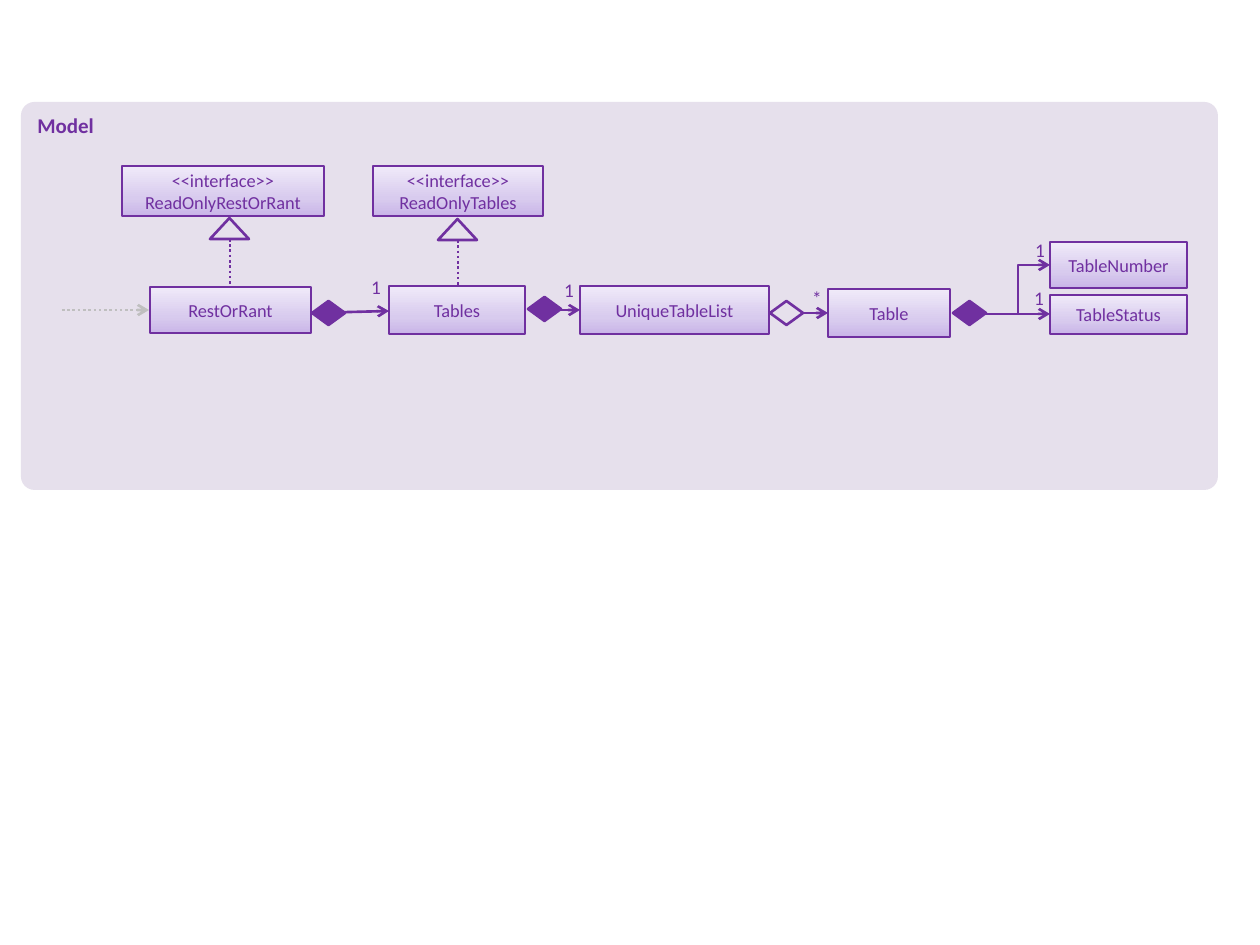
from copy import deepcopy

from pptx import Presentation
from pptx import util as u
from pptx.dml.color import RGBColor
from pptx.enum import dml, shapes, text
from pptx.oxml.ns import qn
from pptx.oxml.xmlchemy import OxmlElement

PX = u.Inches(1) / 126
COLORS = {"purple": "7030A0", "panel": "E6E0EC", "grey": "BFBFBF"}
GRADIENT = {0: "C9B5E8", 0.35: "D8CBEE", 1: "F0EAF9"}
FONT = "Calibri"
SHAPE = shapes.MSO_SHAPE
LINE = shapes.MSO_CONNECTOR

CLASSES = [
    (["RestOrRant"], 150, 287, 161, 46),
    (["Tables"], 389, 286, 136, 48),
    (["UniqueTableList"], 580, 286, 189, 48),
    (["Table"], 828, 289, 122, 48),
    (["TableNumber"], 1050, 242, 137, 46),
    (["TableStatus"], 1050, 295, 137, 39),
    (["<<interface>>", "ReadOnlyRestOrRant"], 122, 166, 202, 50),
    (["<<interface>>", "ReadOnlyTables"], 373, 166, 170, 50),
]
DIAMONDS = [
    (312, 301, "purple"),
    (528, 297, "purple"),
    (770, 301, None),
    (953, 301, "purple"),
]
ASSOCIATIONS = [
    (LINE.STRAIGHT, 312, 313, 389, 311),
    (LINE.STRAIGHT, 528, 310, 580, 310),
    (LINE.STRAIGHT, 803, 313, 828, 313),
    (LINE.STRAIGHT, 986, 314, 1050, 314),
    (LINE.ELBOW, 986, 314, 1050, 265),
]
REALIZATIONS = [(230, 218, 287), (458, 219, 286)]
MULTIPLICITIES = [
    ("1", 363, 275),
    ("1", 556, 278),
    ("*", 804, 286),
    ("1", 1027, 238),
    ("1", 1026, 286),
]


def px(*values):
    return [u.Emu(round(value * PX)) for value in values]


def rgb(name):
    return RGBColor.from_string(COLORS[name])


def write(frame, lines, size, align=text.PP_ALIGN.CENTER, bold=False):
    frame.word_wrap = True
    para = frame.paragraphs[0]
    para.alignment = align
    for index, line in enumerate(lines):
        if index:
            para.add_line_break()
        span = para.add_run()
        span.text = line
        span.font.name = FONT
        span.font.size = u.Pt(size)
        span.font.bold = bold
        span.font.color.rgb = rgb("purple")


def add_outline(page, kind, left, top, width, height, fill=None, line="purple"):
    shape = page.shapes.add_shape(kind, *px(left, top, width, height))
    shape.shadow.inherit = False
    if fill:
        shape.fill.solid()
        shape.fill.fore_color.rgb = rgb(fill)
    else:
        shape.fill.background()
    if line:
        shape.line.color.rgb = rgb(line)
        shape.line.width = u.Pt(1.5)
    else:
        shape.line.fill.background()
    return shape


def add_panel(page):
    panel = add_outline(page, SHAPE.ROUNDED_RECTANGLE, 21, 102, 1197, 388, "panel", None)
    panel.adjustments[0] = 0.035
    panel.text_frame.vertical_anchor = text.MSO_ANCHOR.TOP
    write(panel.text_frame, ["Model"], 12, text.PP_ALIGN.LEFT, True)


def add_class(page, lines, *place):
    box = add_outline(page, SHAPE.RECTANGLE, *place)
    box.fill.gradient()
    box.fill.gradient_angle = 90
    stop_list = box.element.spPr.find(qn("a:gradFill")).find(qn("a:gsLst"))
    stop_list.append(deepcopy(stop_list[0]))
    for stop, (position, color) in zip(box.fill.gradient_stops, GRADIENT.items()):
        stop.position = position
        stop.color.rgb = RGBColor.from_string(color)
    box.text_frame.vertical_anchor = text.MSO_ANCHOR.MIDDLE
    write(box.text_frame, lines, 10.5)


def add_line(page, kind, *ends, color="purple", dotted=False, arrow=True):
    connector = page.shapes.add_connector(kind, *px(*ends))
    connector.line.color.rgb = rgb(color)
    connector.line.width = u.Pt(1.5)
    if dotted:
        connector.line.dash_style = dml.MSO_LINE.ROUND_DOT
    if arrow:
        tail = OxmlElement("a:tailEnd")
        tail.set("type", "arrow")
        connector.line._get_or_add_ln().append(tail)
    connector.element.spPr.append(OxmlElement("a:effectLst"))


def add_realization(page, center, top, bottom):
    add_line(page, LINE.STRAIGHT, center, top + 21, center, bottom, dotted=True, arrow=False)
    add_outline(page, SHAPE.ISOSCELES_TRIANGLE, center - 20, top, 39, 21, "panel")


def add_multiplicity(page, label, left, top):
    box = page.shapes.add_textbox(*px(left, top, 26, 25))
    frame = box.text_frame
    frame.margin_left = frame.margin_right = frame.margin_top = frame.margin_bottom = 0
    write(frame, [label], 11)


def main():
    deck = Presentation()
    deck.slide_width, deck.slide_height = px(1260, 945)
    page = deck.slides.add_slide(deck.slide_layouts[6])
    add_panel(page)
    add_line(page, LINE.STRAIGHT, 62, 310, 149, 310, color="grey", dotted=True)
    for realization in REALIZATIONS:
        add_realization(page, *realization)
    for box in CLASSES:
        add_class(page, *box)
    for left, top, fill in DIAMONDS:
        add_outline(page, SHAPE.FLOWCHART_DECISION, left, top, 33, 24, fill)
    for association in ASSOCIATIONS:
        add_line(page, *association)
    for multiplicity in MULTIPLICITIES:
        add_multiplicity(page, *multiplicity)
    deck.save("out.pptx")


if __name__ == "__main__":
    main()
